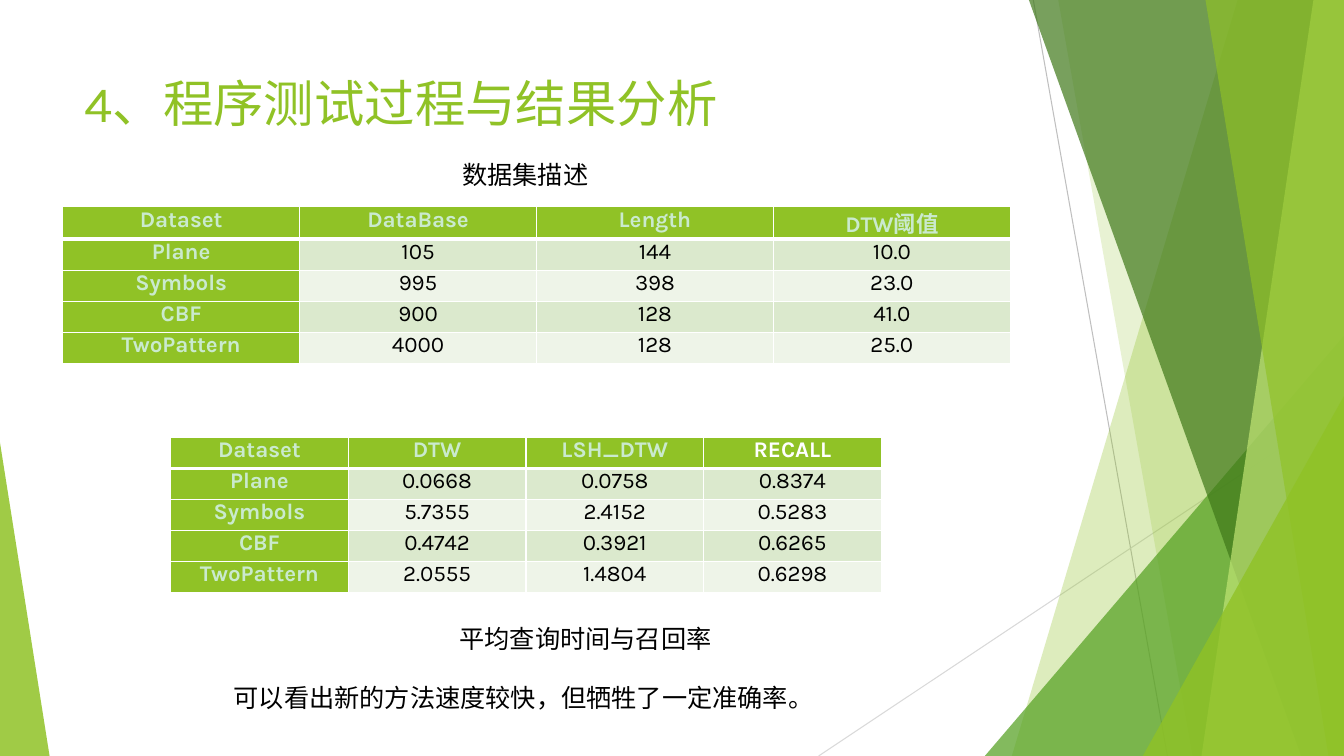
from pptx import Presentation
from pptx.dml.color import RGBColor
from pptx.enum.shapes import MSO_CONNECTOR, MSO_SHAPE
from pptx.enum.text import MSO_ANCHOR, MSO_AUTO_SIZE, PP_ALIGN
from pptx.oxml.ns import qn
from pptx.util import Cm, Pt
from lxml.etree import SubElement

GREEN = RGBColor(0x90, 0xC2, 0x26)
MID_GREEN = RGBColor(0x54, 0xA0, 0x21)
DARK_GREEN = RGBColor(0x3F, 0x78, 0x19)
LIME = RGBColor(0xC0, 0xE4, 0x74)
MINT = RGBColor(0xCA, 0xEA, 0xCE)
BAND = RGBColor(0xDB, 0xE9, 0xCD)
PALE_BAND = RGBColor(0xEE, 0xF4, 0xE8)
GRAY = RGBColor(0xBF, 0xBF, 0xBF)
LIGHT_GRAY = RGBColor(0xD9, 0xD9, 0xD9)
WHITE = RGBColor(0xFF, 0xFF, 0xFF)
BLACK = RGBColor(0, 0, 0)
WIDTH, HEIGHT = 33.87, 19.05


def write_text(frame, text, size=18, font="Karla", color=BLACK, bold=False,
               align=PP_ALIGN.LEFT, spacing=0):
    paragraph = frame.paragraphs[0]
    paragraph.alignment = align
    paragraph.space_before = paragraph.space_after = Pt(spacing)
    run = paragraph.add_run()
    run.text = text
    run.font.size = Pt(size)
    run.font.name = font
    run.font.bold = bold
    run.font.color.rgb = color


def add_border(cell, side, points):
    line = SubElement(cell._tc.get_or_add_tcPr(), qn(f"a:{side}"), w=str(Pt(points)))
    SubElement(SubElement(line, qn("a:solidFill")), qn("a:srgbClr"), val=str(WHITE))


presentation = Presentation()
presentation.slide_width, presentation.slide_height = Cm(WIDTH), Cm(HEIGHT)
slide = presentation.slides.add_slide(presentation.slide_layouts[5])
slide.background.fill.solid()
slide.background.fill.fore_color.rgb = WHITE
shapes = slide.shapes

# Thin lines behind the facets
for x1, y1, x2, color in [(26.04, 0, 29.42, GRAY), (WIDTH, 10.23, 20.63, LIGHT_GRAY)]:
    ray = shapes.add_connector(MSO_CONNECTOR.STRAIGHT, Cm(x1), Cm(y1), Cm(x2), Cm(HEIGHT))
    ray.line.color.rgb = color
    ray.line.width = Pt(0.75)
    SubElement(ray._element.spPr, qn("a:effectLst"))

# Facets: (top x, bottom x) runs to the right edge,
# (left, top, width, apex) is a triangle standing on the bottom edge
facets = [
    ((31.19, 25.5), GREEN, 30),
    ((26.67, 30.05), GREEN, 20),
    ((24.82, 8.46, 9.05, 1), MID_GREEN, 72),
    ((25.93, 32.79), DARK_GREEN, 70),
    ((33.1, 30.28), LIME, 70),
    ((30.38, 33.48), GREEN, 65),
    ((28.8, 9.98, 5.07, 1), GREEN, 80),
    ((0, 11.15, 1.25, 0), GREEN, 85),
]
for outline, color, opacity in facets:
    if len(outline) == 2:
        top_x, bottom_x = outline
        builder = shapes.build_freeform(Cm(top_x), 0)
        builder.add_line_segments([(Cm(WIDTH), 0), (Cm(WIDTH), Cm(HEIGHT)),
                                   (Cm(bottom_x), Cm(HEIGHT))])
        facet = builder.convert_to_shape()
    else:
        left, top, width, apex = outline
        facet = shapes.add_shape(MSO_SHAPE.ISOSCELES_TRIANGLE, Cm(left), Cm(top),
                                 Cm(width), Cm(HEIGHT - top))
        facet.adjustments[0] = apex
    facet.shadow.inherit = False
    facet.line.fill.background()
    facet.fill.solid()
    facet.fill.fore_color.rgb = color
    tint = facet._element.spPr.find(qn("a:solidFill"))[0]
    SubElement(tint, qn("a:alpha"), val=str(opacity * 1000))

# Title
title = shapes.title
title.left, title.top, title.width, title.height = Cm(1.88), Cm(1.7), Cm(23.88), Cm(3.66)
title.text_frame.vertical_anchor = MSO_ANCHOR.TOP
title.text_frame.auto_size = MSO_AUTO_SIZE.NONE
title.text_frame.word_wrap = True
write_text(title.text_frame, "4、程序测试过程与结果分析", size=36, color=GREEN)

# Tables: dataset description, then query time and recall
datasets = (1.58, 5.21, 23.88, [
    ("Dataset", "DataBase", "Length", "DTW阈值"),
    ("Plane", "105", "144", "10.0"),
    ("Symbols", "995", "398", "23.0"),
    ("CBF", "900", "128", "41.0"),
    ("TwoPattern", "4000", "128", "25.0"),
])
results = (4.3, 11.02, 17.91, [
    ("Dataset", "DTW", "LSH_DTW", "RECALL"),
    ("Plane", "0.0668", "0.0758", "0.8374"),
    ("Symbols", "5.7355", "2.4152", "0.5283"),
    ("CBF", "0.4742", "0.3921", "0.6265"),
    ("TwoPattern", "2.0555", "1.4804", "0.6298"),
])
for left, top, width, rows in (datasets, results):
    table = shapes.add_table(len(rows), len(rows[0]), Cm(left), Cm(top),
                             Cm(width), Cm(3.91)).table
    for r, row in enumerate(rows):
        for c, value in enumerate(row):
            cell = table.cell(r, c)
            cell.margin_left = cell.margin_right = Cm(0.18)
            cell.margin_top = cell.margin_bottom = 0
            add_border(cell, "lnL", 1)
            add_border(cell, "lnR", 1)
            add_border(cell, "lnT", 3 if r == 1 else 1)
            add_border(cell, "lnB", 3 if r == 0 else 1)
            heading = r == 0 or c == 0
            cell.fill.solid()
            cell.fill.fore_color.rgb = GREEN if heading else BAND if r % 2 else PALE_BAND
            color = WHITE if value == "RECALL" else MINT if heading else BLACK
            write_text(cell.text_frame, value, size=16, color=color, bold=heading,
                       align=PP_ALIGN.CENTER, spacing=9)

# Captions and conclusion
captions = [
    (11.4, 3.89, 3.71, "数据集描述", "Cambria", False),
    (11.33, 15.57, 6.93, "平均查询时间与召回率", "Cambria", False),
    (5.64, 17.07, 18.24, "可以看出新的方法速度较快，但牺牲了一定准确率。", "Karla", True),
]
for left, top, width, text, font, wrap in captions:
    caption = shapes.add_textbox(Cm(left), Cm(top), Cm(width), Cm(1.02)).text_frame
    caption.word_wrap = wrap
    caption.auto_size = MSO_AUTO_SIZE.SHAPE_TO_FIT_TEXT
    write_text(caption, text, font=font)

presentation.save("out.pptx")
